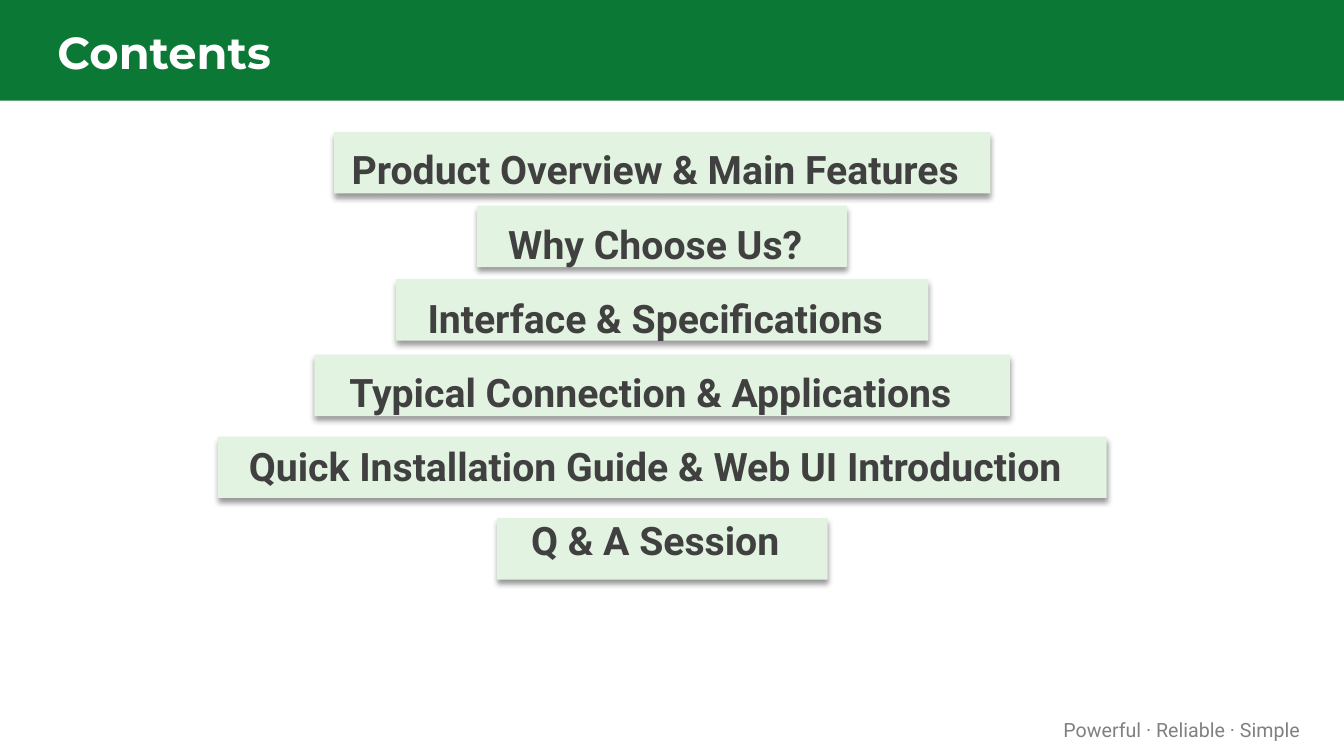
from dataclasses import dataclass

from lxml.etree import SubElement
from pptx import Presentation
from pptx.dml.color import RGBColor
from pptx.enum.shapes import MSO_SHAPE as SHAPE
from pptx.enum.text import MSO_ANCHOR as ANCHOR, PP_ALIGN as ALIGN
from pptx.oxml.ns import qn
from pptx.util import Pt


@dataclass(frozen=True)
class Theme:
    green: str = "0B7935"
    pale_green: str = "E2F3E1"
    white: str = "FFFFFF"
    dark: str = "404040"
    gray: str = "808080"
    shadow: str = "000000"
    heading: str = "Montserrat"
    body: str = "Roboto"
    title_size: int = 32
    item_size: int = 28
    footer_size: int = 14


T = Theme()

# Each entry: text, top and width of its band
CONTENTS = [
    ("Product Overview & Main Features", 94.3, 468.7),
    ("Why Choose Us?", 146.9, 264.2),
    ("Interface & Specifications", 199.4, 380.2),
    ("Typical Connection & Applications ", 253.4, 496.8),
    ("Quick Installation Guide & Web UI Introduction", 311.8, 635),
    ("Q & A Session", 370.1, 236.2),
]
BAND_CENTER, BAND_HEIGHT = 473, 43.9


def add_rect(s, left, top, width, height, color):
    sp = s.shapes.add_shape(SHAPE.RECTANGLE, Pt(left), Pt(top), Pt(width), Pt(height))
    sp.shadow.inherit = False
    sp.fill.solid()
    sp.fill.fore_color.rgb = RGBColor.from_string(color)
    sp.line.fill.background()
    return sp


def add_shadow(sp, blur=4, distance=3, degrees=90, opacity=40):
    effects = sp._element.spPr.find(qn("a:effectLst"))
    outer = SubElement(effects, qn("a:outerShdw"), blurRad=str(Pt(blur)),
                       dist=str(Pt(distance)), dir=str(degrees * 60000),
                       algn="t", rotWithShape="0")
    color = SubElement(outer, qn("a:srgbClr"), val=T.shadow)
    SubElement(color, qn("a:alpha"), val=str(opacity * 1000))


def add_text(s, left, top, width, height, lines, *, size, color, font=T.body,
             bold=False, align=ALIGN.LEFT, anchor=ANCHOR.MIDDLE,
             inset=(5, 2.2, 5, 2.2), spacing=None, after=None):
    tf = s.shapes.add_textbox(Pt(left), Pt(top), Pt(width), Pt(height)).text_frame
    tf.word_wrap = True
    tf.vertical_anchor = anchor
    tf.margin_left, tf.margin_top, tf.margin_right, tf.margin_bottom = map(Pt, inset)
    for i, line in enumerate(lines):
        p = tf.add_paragraph() if i else tf.paragraphs[0]
        p.alignment = align
        if spacing:
            p.line_spacing = Pt(spacing)
        if after:
            p.space_after = Pt(after)
        r = p.add_run()
        r.text = line
        r.font.name, r.font.size, r.font.bold = font, Pt(size), bold
        r.font.color.rgb = RGBColor.from_string(color)


def main():
    prs = Presentation()
    prs.slide_width, prs.slide_height = Pt(960), Pt(540)
    s = prs.slides.add_slide(prs.slide_layouts[6])

    # Header
    add_rect(s, 0, 0, 960, 72, T.green)
    add_text(s, 36, 13, 888, 48, ["Contents"], size=T.title_size,
             color=T.white, font=T.heading, bold=True)

    # Footer
    add_text(s, 733.7, 509, 207.4, 24.5, ["Powerful · Reliable · Simple"],
             size=T.footer_size, color=T.gray, align=ALIGN.RIGHT,
             anchor=ANCHOR.TOP, inset=(7.2, 3.6, 12.5, 3.6))

    # Bands, all centred on one axis
    for _, top, width in CONTENTS:
        add_shadow(add_rect(s, BAND_CENTER - width / 2, top, width, BAND_HEIGHT,
                            T.pale_green))

    # List of contents
    add_text(s, 118.8, 82.1, 698.4, 331.2, [text for text, _, _ in CONTENTS],
             size=T.item_size, color=T.dark, bold=True, align=ALIGN.CENTER,
             spacing=45, after=8)

    prs.save("out.pptx")


if __name__ == "__main__":
    main()
